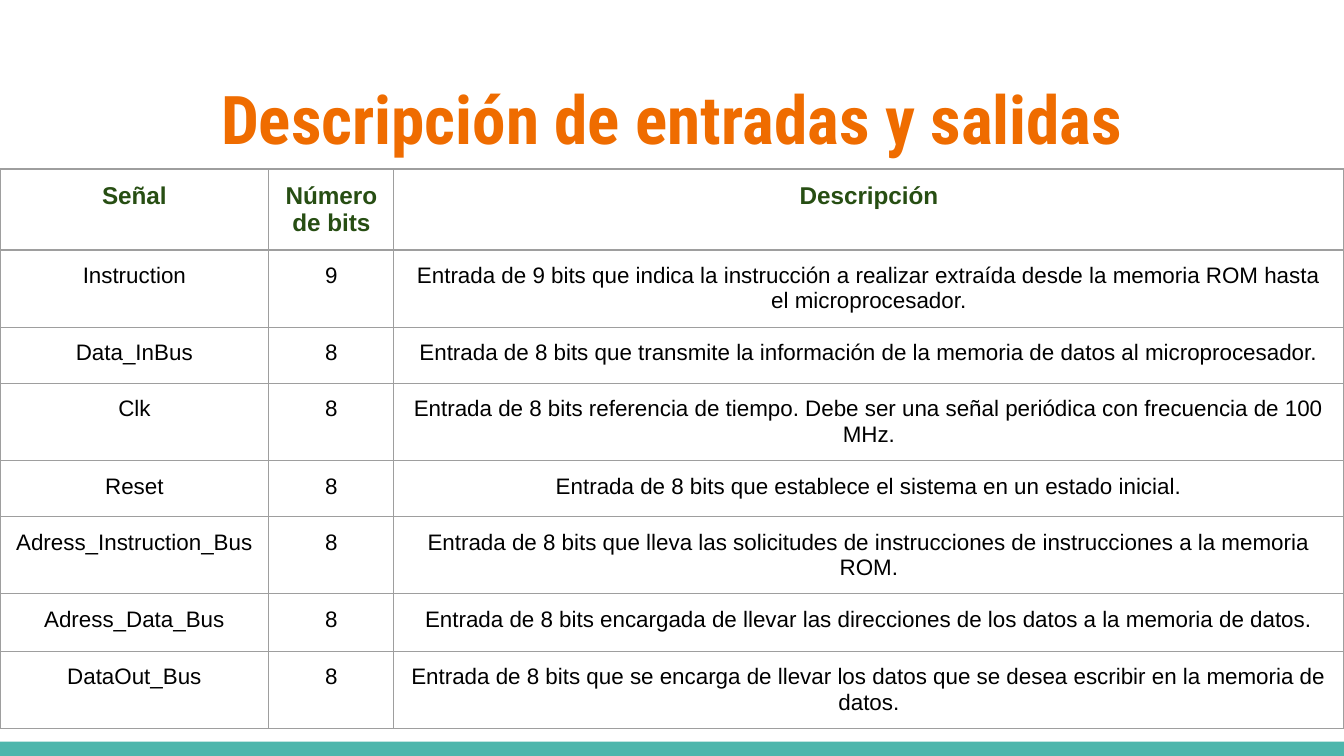
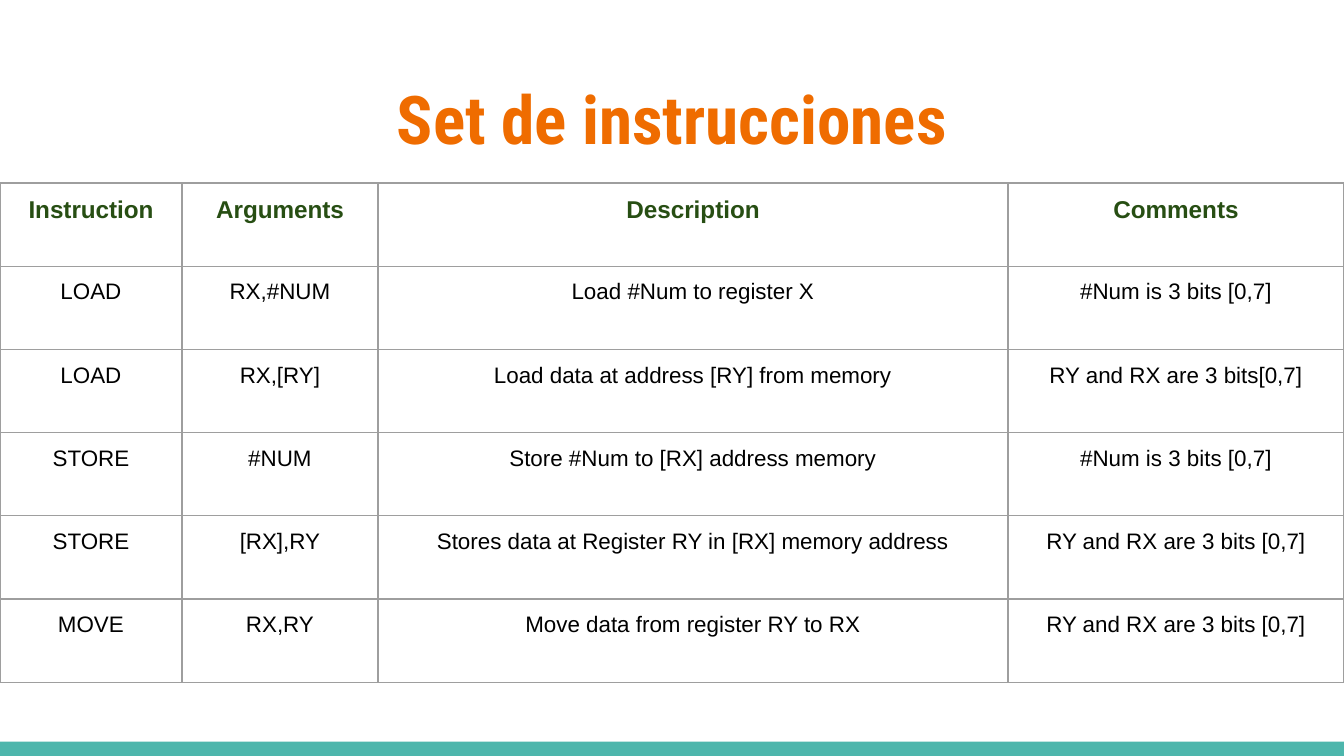
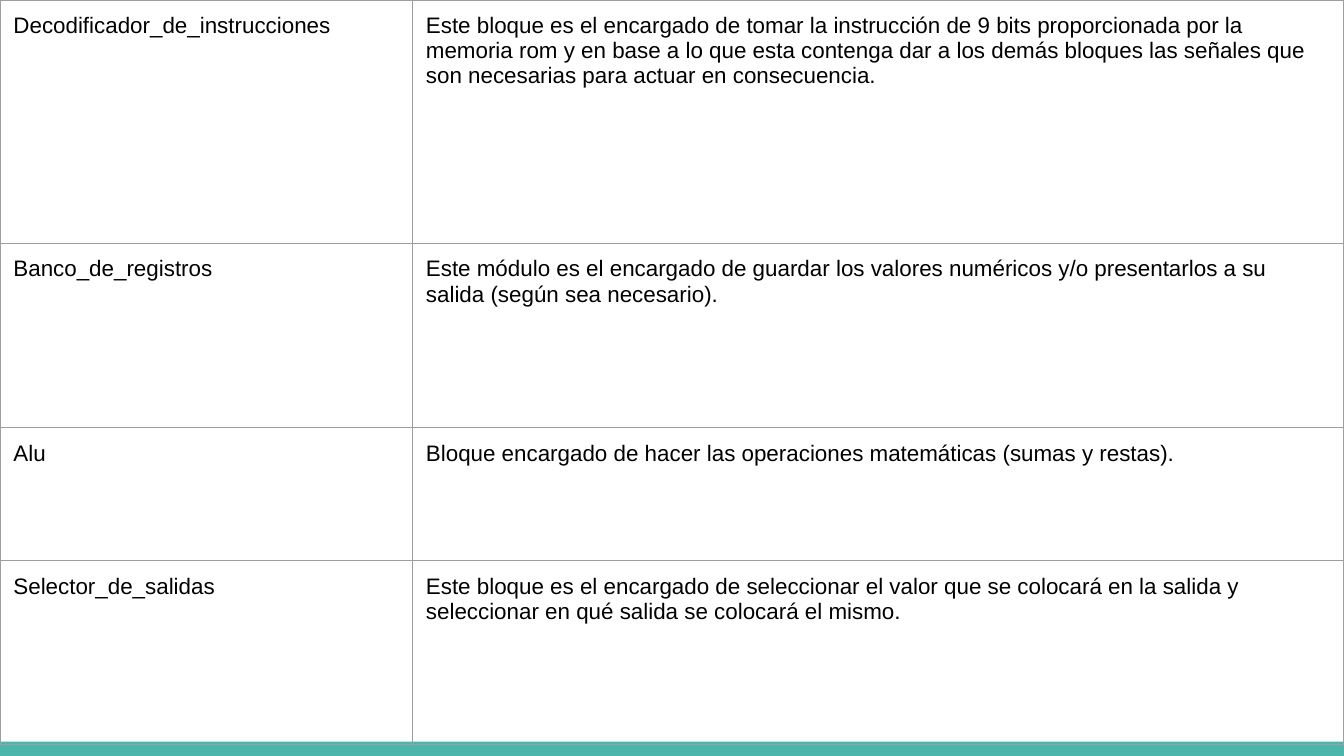
from dataclasses import dataclass

from lxml import etree
from pptx import Presentation
from pptx import util as u
from pptx.dml.color import RGBColor
from pptx.enum import shapes, text
from pptx.oxml import ns


@dataclass(frozen=True)
class Theme:
    title_color: str = "EF6C00"
    header_color: str = "274E13"
    body_color: str = "000000"
    band_color: str = "4DB6AC"
    border_color: str = "9E9E9E"
    background: str = "FFFFFF"
    title_font: str = "Roboto Condensed"
    body_font: str = "Arial"
    title_size: float = 36
    header_size: float = 13
    body_size: float = 12
    border_width: float = 0.75
    inset: float = 7.2


theme = Theme()
LEFT, CENTER = text.PP_ALIGN.LEFT, text.PP_ALIGN.CENTER


def write(frame, words, *, size=theme.body_size, color=theme.body_color,
          font=theme.body_font, bold=False, align=LEFT):
    para = frame.paragraphs[0]
    para.alignment = align
    span = para.add_run()
    span.text = words
    span.font.size = u.Pt(size)
    span.font.name = font
    span.font.bold = bold
    span.font.color.rgb = RGBColor.from_string(color)


def outline(cell):
    properties = cell._tc.get_or_add_tcPr()
    for side in ("lnL", "lnR", "lnT", "lnB"):
        line = etree.SubElement(properties, ns.qn(f"a:{side}"), w=str(u.Pt(theme.border_width)))
        fill = etree.SubElement(line, ns.qn("a:solidFill"))
        etree.SubElement(fill, ns.qn("a:srgbClr"), val=theme.border_color)


pages = [
    {
        "title": "Descripción de entradas y salidas",
        "top": 90.5,
        "columns": [144, 67, 509],
        "heights": [30, 30, 30, 30, 30, 30, 31, 30],
        "rows": [
            ["Señal", "Número de bits", "Descripción"],
            ["Instruction", "9", "Entrada de 9 bits que indica la instrucción a realizar extraída desde la memoria ROM hasta el microprocesador."],
            ["Data_InBus", "8", "Entrada de 8 bits que transmite la información de la memoria de datos al microprocesador."],
            ["Clk", "8", "Entrada de 8 bits referencia de tiempo. Debe ser una señal periódica con frecuencia de 100 MHz."],
            ["Reset", "8", "Entrada de 8 bits que establece el sistema en un estado inicial."],
            ["Adress_Instruction_Bus", "8", "Entrada de 8 bits que lleva las solicitudes de instrucciones de instrucciones a la memoria ROM."],
            ["Adress_Data_Bus", "8", "Entrada de 8 bits encargada de llevar las direcciones de los datos a la memoria de datos."],
            ["DataOut_Bus", "8", "Entrada de 8 bits que se encarga de llevar los datos que se desea escribir en la memoria de datos."],
        ],
    },
    {
        "title": "Set de instrucciones",
        "top": 98,
        "columns": [97.5, 105, 337.5, 180],
        "heights": [44.6] * 6,
        "rows": [
            ["Instruction", "Arguments", "Description", "Comments"],
            ["LOAD", "RX,#NUM", "Load #Num to register X", "#Num is 3 bits [0,7]"],
            ["LOAD", "RX,[RY]", "Load data at address [RY] from memory", "RY and RX are 3 bits[0,7]"],
            ["STORE", "#NUM", "Store #Num to [RX] address memory", "#Num is 3 bits [0,7]"],
            ["STORE", "[RX],RY", "Stores data at Register RY in [RX] memory address", "RY and RX are 3 bits [0,7]"],
            ["MOVE", "RX,RY", "Move data from register RY to RX", "RY and RX are 3 bits [0,7]"],
        ],
    },
    {
        "title": None,
        "top": 0,
        "columns": [221, 499],
        "heights": [130.3, 98.6, 71.3, 98.6],
        "rows": [
            ["Decodificador_de_instrucciones", "Este bloque es el encargado de tomar la instrucción de 9 bits proporcionada por la memoria rom y en base a lo que esta contenga dar a los demás bloques las señales que son necesarias para actuar en consecuencia."],
            ["Banco_de_registros", "Este módulo es el encargado de guardar los valores numéricos y/o presentarlos a su salida (según sea necesario)."],
            ["Alu", "Bloque encargado de hacer las operaciones matemáticas (sumas y restas)."],
            ["Selector_de_salidas", "Este bloque es el encargado de seleccionar el valor que se colocará en la salida y seleccionar en qué salida se colocará el mismo."],
        ],
    },
]

deck = Presentation()
deck.slide_width, deck.slide_height = u.Pt(720), u.Pt(405)
deck.slide_master.background.fill.solid()
deck.slide_master.background.fill.fore_color.rgb = RGBColor.from_string(theme.background)
title_only, blank = deck.slide_layouts[5], deck.slide_layouts[6]

for content in pages:
    titled = content["title"] is not None
    page = deck.slides.add_slide(title_only if titled else blank)

    band = page.shapes.add_shape(shapes.MSO_SHAPE.RECTANGLE, 0, u.Pt(397.4), u.Pt(720), u.Pt(7.6))
    band.shadow.inherit = False
    band.fill.solid()
    band.fill.fore_color.rgb = RGBColor.from_string(theme.band_color)
    band.line.fill.background()

    if titled:
        title = page.shapes.title
        title.left, title.top, title.width, title.height = map(u.Pt, (24.5, 35.3, 671, 55.4))
        frame = title.text_frame
        frame.auto_size = text.MSO_AUTO_SIZE.NONE
        frame.vertical_anchor = text.MSO_ANCHOR.MIDDLE
        frame.margin_left = frame.margin_right = u.Pt(theme.inset)
        frame.margin_top = frame.margin_bottom = u.Pt(theme.inset)
        write(frame, content["title"], size=theme.title_size, color=theme.title_color,
              font=theme.title_font, bold=True, align=CENTER)

    columns, heights, rows = content["columns"], content["heights"], content["rows"]
    table = page.shapes.add_table(len(rows), len(columns), 0, u.Pt(content["top"]),
                                  u.Pt(sum(columns)), u.Pt(sum(heights))).table
    table.first_row = titled
    table.horz_banding = False
    for column, width in zip(table.columns, columns):
        column.width = u.Pt(width)
    for number, (row, height, words) in enumerate(zip(table.rows, heights, rows)):
        row.height = u.Pt(height)
        style = {"align": CENTER if titled else LEFT}
        if titled and number == 0:
            style.update(size=theme.header_size, color=theme.header_color, bold=True)
        for cell, entry in zip(row.cells, words):
            outline(cell)
            cell.fill.background()
            cell.margin_left = cell.margin_right = u.Pt(theme.inset)
            cell.margin_top = cell.margin_bottom = u.Pt(theme.inset)
            write(cell.text_frame, entry, **style)

deck.save("out.pptx")
